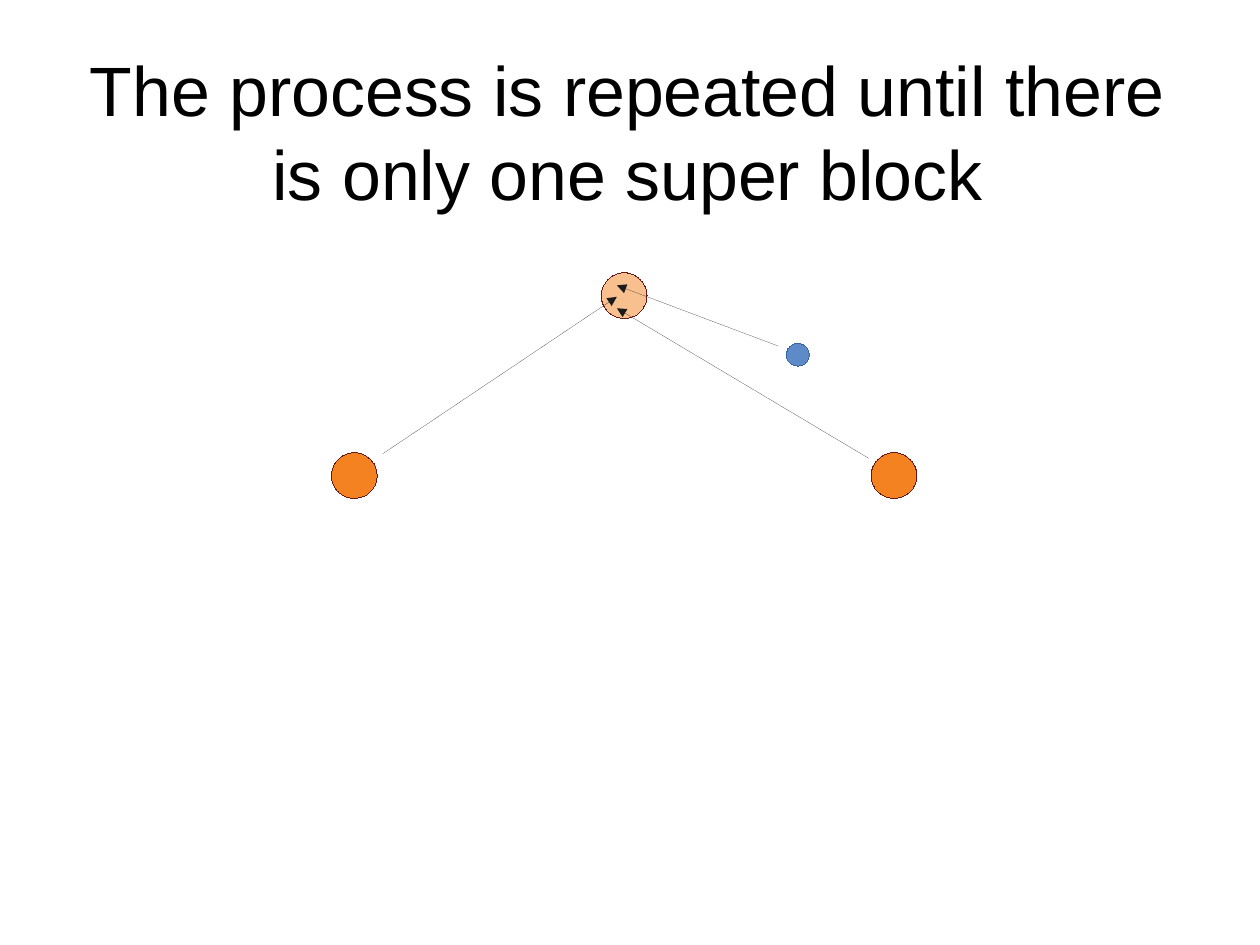
from lxml import etree
from pptx import Presentation
from pptx import util as u
from pptx.dml.color import RGBColor
from pptx.enum import shapes, text
from pptx.oxml.ns import qn

SLIDE_SIZE = (793.7, 595.28)
TITLE = "The process is repeated until there is only one super block"
COLORS = {"text": "000000", "orange": "F58220", "brown": "6A1816",
          "blue": "5E8AC7", "navy": "3465A4", "arrow": "1C1C1C"}

# Nodes: centre x, centre y, diameter, fill, outline, opacity in percent
NODES = [
    (223.2, 299.5, 28.8, "orange", "brown", 100),
    (563.2, 299.5, 28.8, "orange", "brown", 100),
    (393.2, 186.2, 28.8, "orange", "brown", 50),
    (502.6, 223.4, 14.4, "blue", "navy", 100),
]
# Arrows into the super block: start x, start y, end y
ARROW_END_X = 388.6
ARROWS = [(490.3, 218, 179.8), (547.2, 288.7, 194.2), (241.2, 285.8, 187)]


def color(name):
    return RGBColor.from_string(COLORS[name])


def set_hairline(shape, name):
    """Drop the theme style, so that the outline keeps its thinnest width."""
    shape._element.remove(shape._element.find(qn("p:style")))
    shape.line.color.rgb = color(name)


presentation = Presentation()
presentation.slide_width, presentation.slide_height = map(u.Pt, SLIDE_SIZE)
slide = presentation.slides.add_slide(presentation.slide_layouts[5])

# Title
title = slide.shapes.title
title.left, title.top, title.width, title.height = map(u.Pt, (40.3, 23.8, 710.6, 116.6))
frame = title.text_frame
frame.text = TITLE
frame.word_wrap = True
frame.auto_size = text.MSO_AUTO_SIZE.NONE
frame.vertical_anchor = text.MSO_ANCHOR.MIDDLE
frame.margin_left = frame.margin_right = frame.margin_top = frame.margin_bottom = 0
paragraph = frame.paragraphs[0]
paragraph.alignment = text.PP_ALIGN.CENTER
font = paragraph.runs[0].font
font.name, font.size = "Arial", u.Pt(44)
font.color.rgb = color("text")

# Nodes
for x, y, diameter, fill, outline, opacity in NODES:
    node = slide.shapes.add_shape(
        shapes.MSO_SHAPE.OVAL, u.Pt(x - diameter / 2), u.Pt(y - diameter / 2),
        u.Pt(diameter), u.Pt(diameter))
    node.shadow.inherit = False
    node.fill.solid()
    node.fill.fore_color.rgb = color(fill)
    set_hairline(node, outline)
    if opacity < 100:
        fill_color = node._element.spPr.find(qn("a:solidFill"))[0]
        etree.SubElement(fill_color, qn("a:alpha"), val=str(opacity * 1000))

# Arrows
for start_x, start_y, end_y in ARROWS:
    arrow = slide.shapes.add_connector(
        shapes.MSO_CONNECTOR.STRAIGHT,
        u.Pt(start_x), u.Pt(start_y), u.Pt(ARROW_END_X), u.Pt(end_y))
    set_hairline(arrow, "arrow")
    etree.SubElement(arrow.line._get_or_add_ln(), qn("a:tailEnd"), type="triangle")
    etree.SubElement(arrow._element.spPr, qn("a:effectLst"))

presentation.save("out.pptx")
